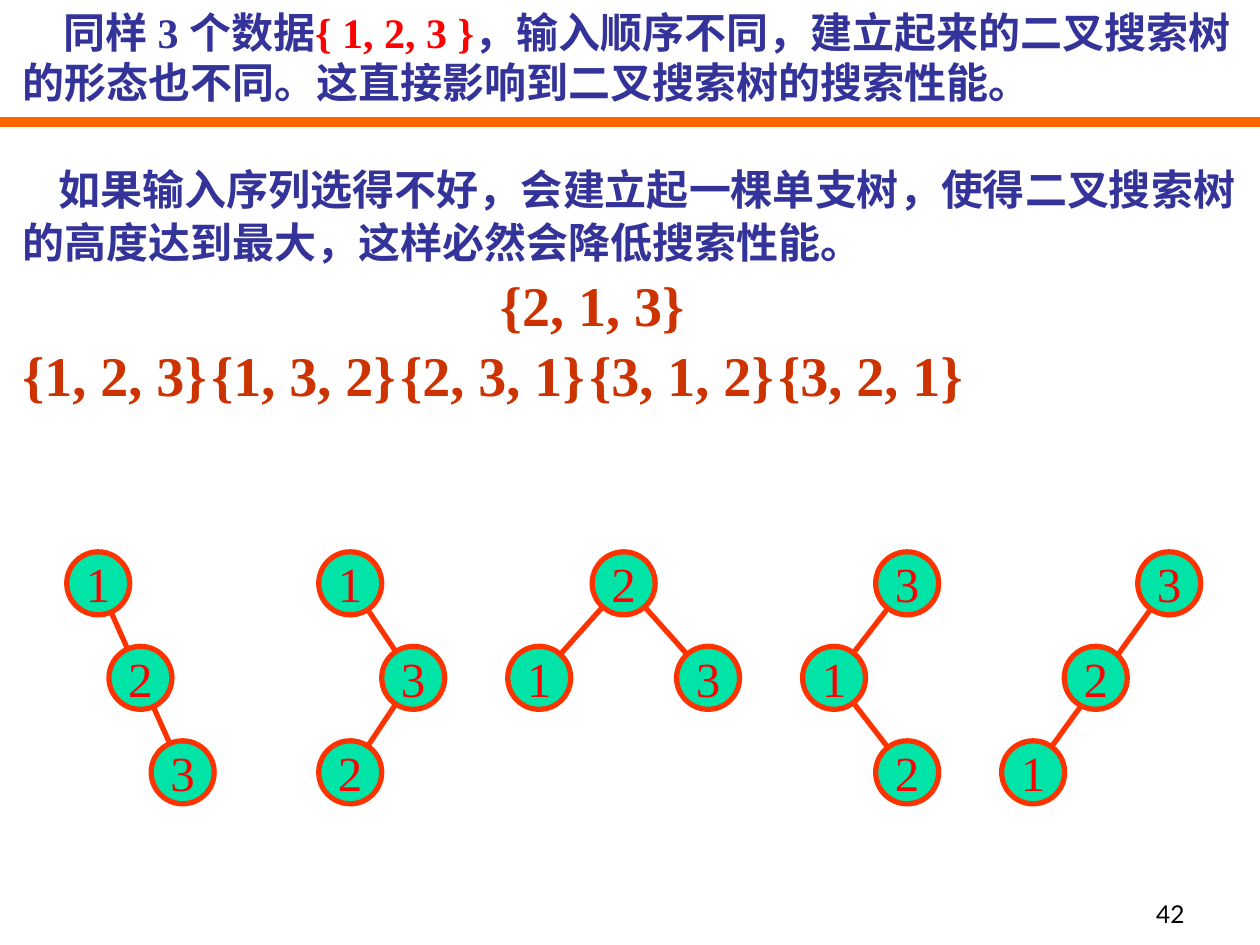
from lxml import etree
from pptx import Presentation
from pptx.dml.color import RGBColor
from pptx.enum.shapes import MSO_CONNECTOR, MSO_SHAPE
from pptx.enum.text import MSO_ANCHOR, PP_ALIGN
from pptx.oxml.ns import qn
from pptx.util import Inches, Pt

STRAIGHT = MSO_CONNECTOR.STRAIGHT
OVAL = MSO_SHAPE.OVAL
MIDDLE, BOTTOM = MSO_ANCHOR.MIDDLE, MSO_ANCHOR.BOTTOM
CENTER, RIGHT = PP_ALIGN.CENTER, PP_ALIGN.RIGHT

COLORS = {
    "rule": "FF6600", "body": "333399", "accent": "FF0000", "sequence": "CC3300",
    "node": "00E4A8", "edge": "FF3300", "number": "000000",
}
SERIF = "Times New Roman"
BODY = {"name": SERIF, "size": Pt(24), "bold": True}
SEQUENCE = {"name": SERIF, "size": Pt(32), "bold": True}
LABEL = {"name": SERIF, "size": Pt(28)}
PAGE = {"name": "Lato", "size": Pt(14)}

NODE_SIZE = 0.5
EDGE_TRIM = 0.2
TREE_TOP, TREE_HEIGHT = 4.38, 2.0
TREES = [
    {"left": 0.53, "width": 1.17, "edges": [(0, 2)],
     "nodes": [("1", 0, 0), ("2", 0.5, 1), ("3", 1, 2)]},
    {"left": 2.53, "width": 1.0, "edges": [(0, 1), (1, 2)],
     "nodes": [("1", 0, 0), ("3", 1, 1), ("2", 0, 2)]},
    {"left": 4.03, "width": 1.84, "edges": [(0, 1), (0, 2)],
     "nodes": [("2", 0.5, 0), ("1", 0, 1), ("3", 1, 1)]},
    {"left": 6.37, "width": 1.08, "edges": [(0, 1), (1, 2)],
     "nodes": [("3", 1, 0), ("1", 0, 1), ("2", 1, 2)]},
    {"left": 7.95, "width": 1.58, "edges": [(0, 2)],
     "nodes": [("3", 1, 0), ("2", 0.46, 1), ("1", 0, 2)]},
]
PARAGRAPHS = [
    {"font": BODY, "indent": 0.33, "runs": [
        ("同样 3 个数据", "body"), ("{ 1, 2, 3 }", "accent"),
        ("，输入顺序不同，建立起来的二叉搜索树的形态也不同。这直接影响到二叉搜索树的搜索性能。", "body")]},
    {"font": BODY, "indent": 0.29, "format": {"space_before": Pt(31), "line_spacing": 1.05},
     "runs": [("如果输入序列选得不好，会建立起一棵单支树，使得二叉搜索树的高度达到最大，"
               "这样必然会降低搜索性能。", "body")]},
    {"font": SEQUENCE, "indent": 3.79, "format": {"line_spacing": 1.05},
     "runs": [("{2, 1, 3}", "sequence")]},
    {"font": SEQUENCE, "tabs": [1.8, 3.82, 5.83, 7.74], "format": {"line_spacing": 1.05},
     "runs": [("{1, 2, 3}\t{1, 3, 2}\t{2, 3, 1}\t{3, 1, 2}\t{3, 2, 1}", "sequence")]},
]


def apply_format(target, values):
    """Set every attribute named in a dict of format values."""
    for name, value in values.items():
        setattr(target, name, value)


def add_run(paragraph, text, font, color):
    """Append a formatted run to a paragraph."""
    run = paragraph.add_run()
    run.text = text
    apply_format(run.font, font)
    run.font.color.rgb = RGBColor.from_string(COLORS[color])


def add_line(slide, start, end, color, width):
    """Draw a straight line without a shadow."""
    points = [Inches(value) for value in (*start, *end)]
    connector = slide.shapes.add_connector(STRAIGHT, *points)
    connector.line.color.rgb = RGBColor.from_string(COLORS[color])
    connector.line.width = Pt(width)
    etree.SubElement(connector._element.spPr, qn("a:effectLst"))


def add_text_box(slide, box):
    """Add a wrapping text box and return its text frame."""
    text_frame = slide.shapes.add_textbox(*map(Inches, box)).text_frame
    text_frame.word_wrap = True
    return text_frame


def set_indent_and_tabs(paragraph, indent, tabs):
    """Give a paragraph a first-line indent and left tab stops."""
    properties = paragraph._p.get_or_add_pPr()
    properties.set("marL", "0")
    properties.set("indent", str(Inches(indent)))
    if tabs:
        tab_list = etree.SubElement(properties, qn("a:tabLst"))
        for position in tabs:
            etree.SubElement(tab_list, qn("a:tab"), pos=str(Inches(position)), algn="l")


def add_explanation(slide, box):
    """Write the explanation and the input sequences."""
    text_frame = add_text_box(slide, box)
    for index, content in enumerate(PARAGRAPHS):
        paragraph = text_frame.add_paragraph() if index else text_frame.paragraphs[0]
        set_indent_and_tabs(paragraph, content.get("indent", 0), content.get("tabs"))
        apply_format(paragraph, content.get("format", {}))
        for text, color in content["runs"]:
            add_run(paragraph, text, content["font"], color)


def add_node(slide, label, center):
    """Draw one labelled tree node around its centre."""
    left, top = (value - NODE_SIZE / 2 for value in center)
    shape = slide.shapes.add_shape(
        OVAL, Inches(left), Inches(top), Inches(NODE_SIZE), Inches(NODE_SIZE))
    shape.shadow.inherit = False
    shape.fill.solid()
    shape.fill.fore_color.rgb = RGBColor.from_string(COLORS["node"])
    shape.line.color.rgb = RGBColor.from_string(COLORS["edge"])
    shape.line.width = Pt(3)
    apply_format(shape.text_frame, {"word_wrap": False, "vertical_anchor": MIDDLE})
    paragraph = shape.text_frame.paragraphs[0]
    paragraph.alignment = CENTER
    add_run(paragraph, label, LABEL, "accent")


def add_edge(slide, parent, child):
    """Join two node centres with a line trimmed at both ends."""
    run, rise = child[0] - parent[0], child[1] - parent[1]
    share = EDGE_TRIM / (run ** 2 + rise ** 2) ** 0.5
    start = (parent[0] + run * share, parent[1] + rise * share)
    end = (child[0] - run * share, child[1] - rise * share)
    add_line(slide, start, end, "edge", 3)


def add_tree(slide, box, nodes, edges):
    """Draw a three-level search tree inside a box."""
    left, top, width, height = box
    radius = NODE_SIZE / 2
    row_step = (height - NODE_SIZE) / 2
    centers = [(left + radius + column * (width - NODE_SIZE), top + radius + row * row_step)
               for _, column, row in nodes]
    for parent, child in edges:
        add_edge(slide, centers[parent], centers[child])
    for (label, _, _), center in zip(nodes, centers):
        add_node(slide, label, center)


def add_page_number(slide, box):
    """Write the page number at the lower right."""
    text_frame = add_text_box(slide, box)
    text_frame.vertical_anchor = BOTTOM
    paragraph = text_frame.paragraphs[0]
    paragraph.alignment = RIGHT
    add_run(paragraph, "42", PAGE, "number")


def main():
    """Build and save the slide."""
    presentation = Presentation()
    presentation.slide_width, presentation.slide_height = Inches(10), Inches(7.5)
    slide = presentation.slides.add_slide(presentation.slide_layouts[6])
    add_line(slide, (0, 0.97), (10, 0.97), "rule", 6)
    add_page_number(slide, (7.42, 6.92, 2.08, 0.5))
    add_explanation(slide, (0.08, 0, 9.83, 3.32))
    for tree in TREES:
        box = (tree["left"], TREE_TOP, tree["width"], TREE_HEIGHT)
        add_tree(slide, box, tree["nodes"], tree["edges"])
    presentation.save("out.pptx")


if __name__ == "__main__":
    main()
